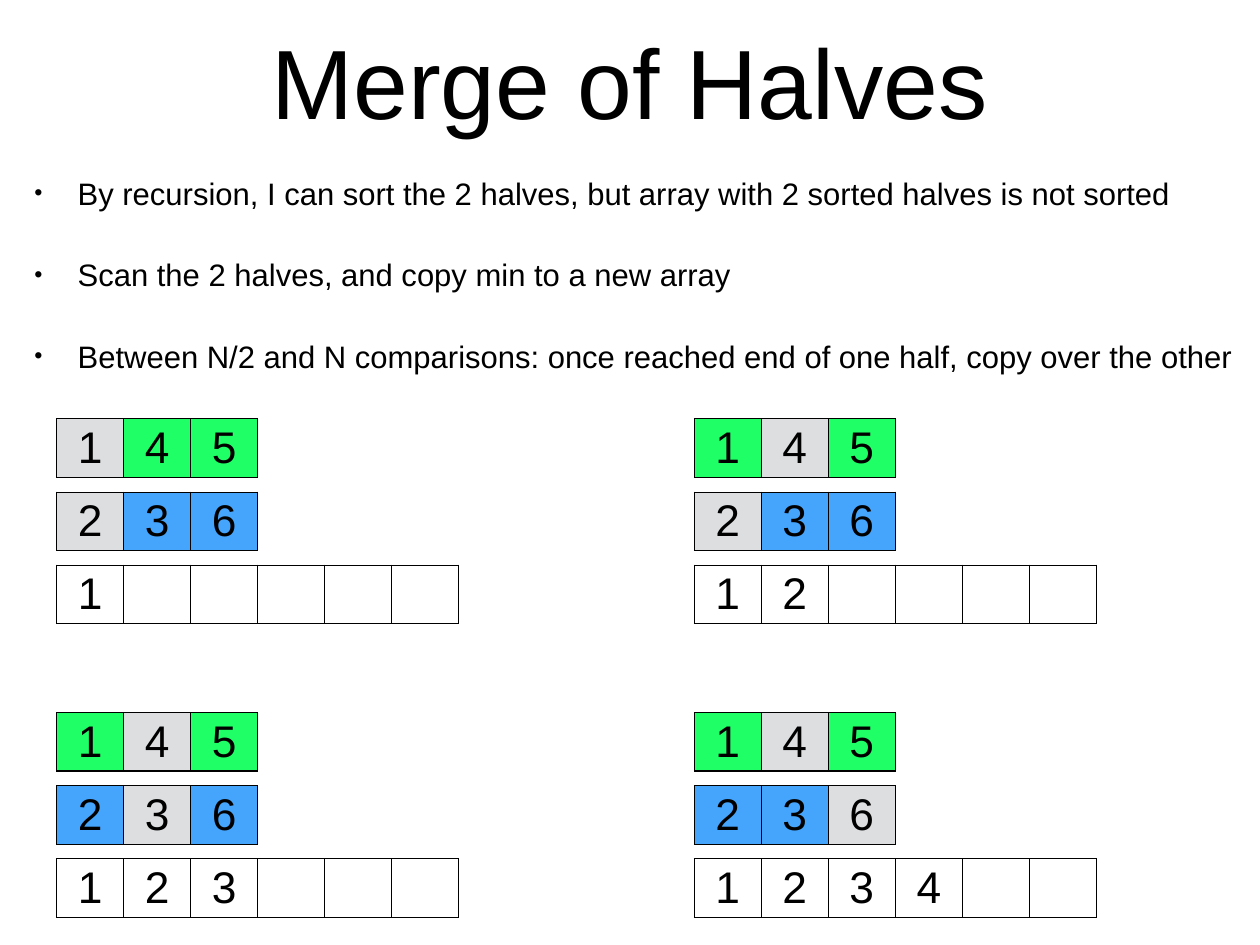
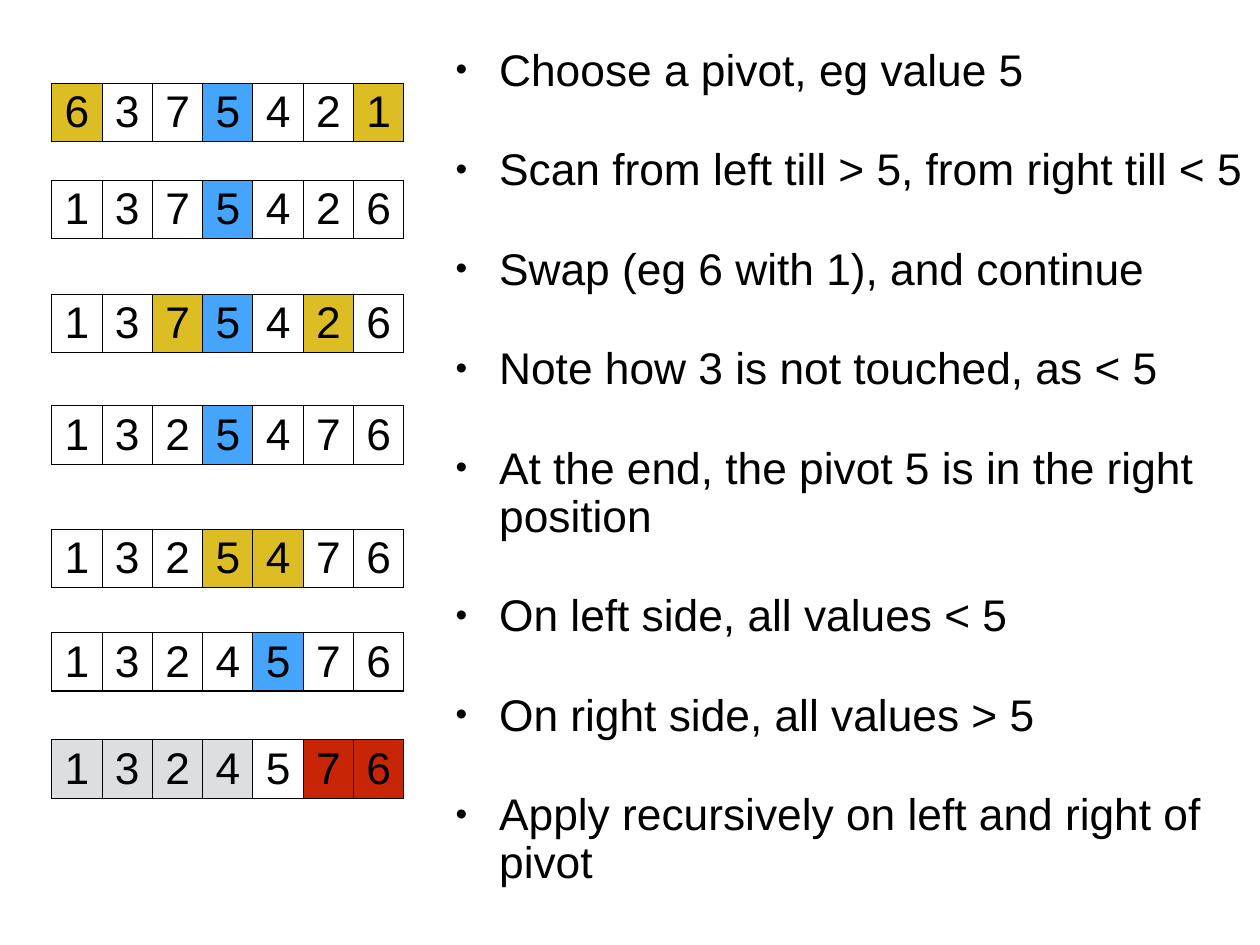
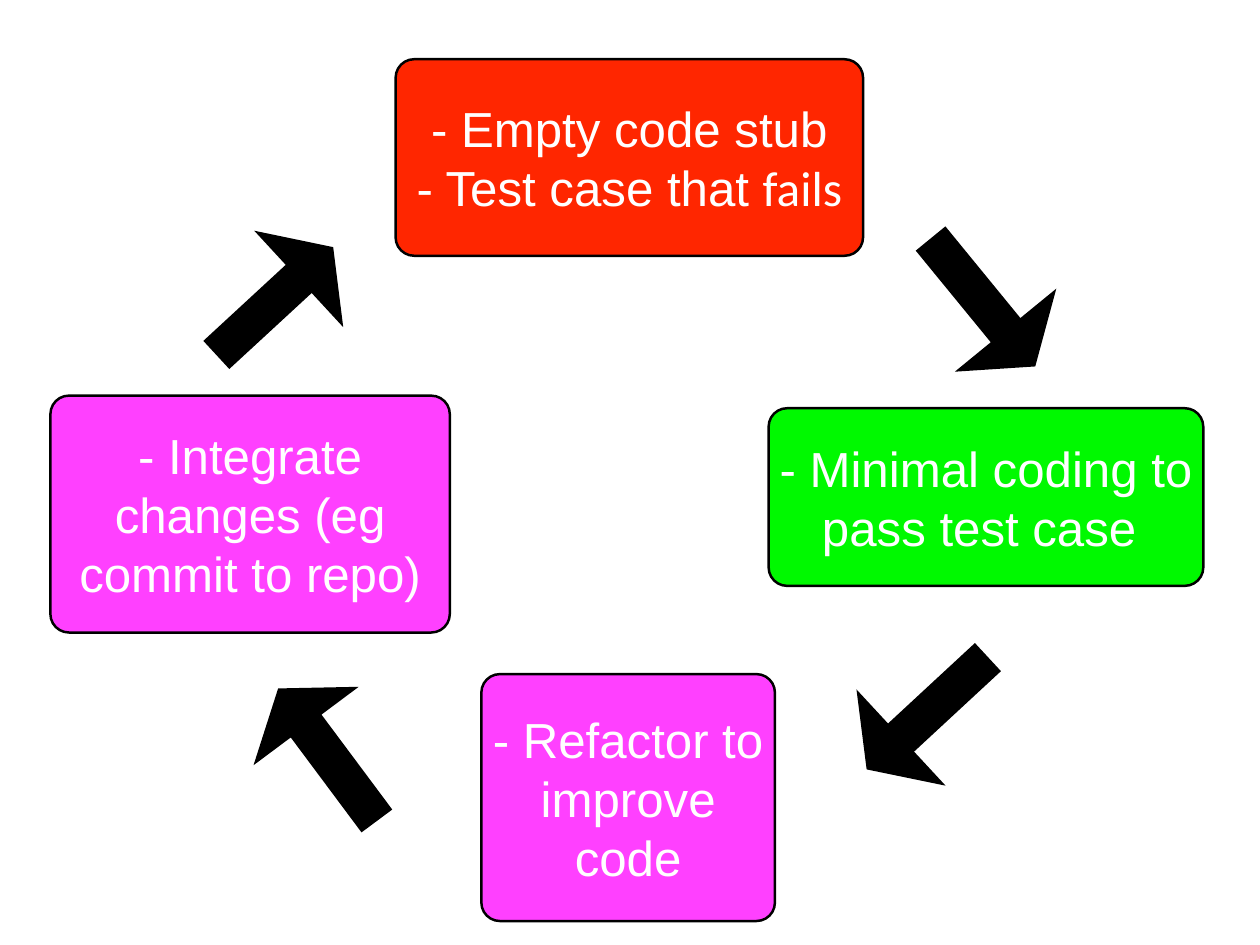
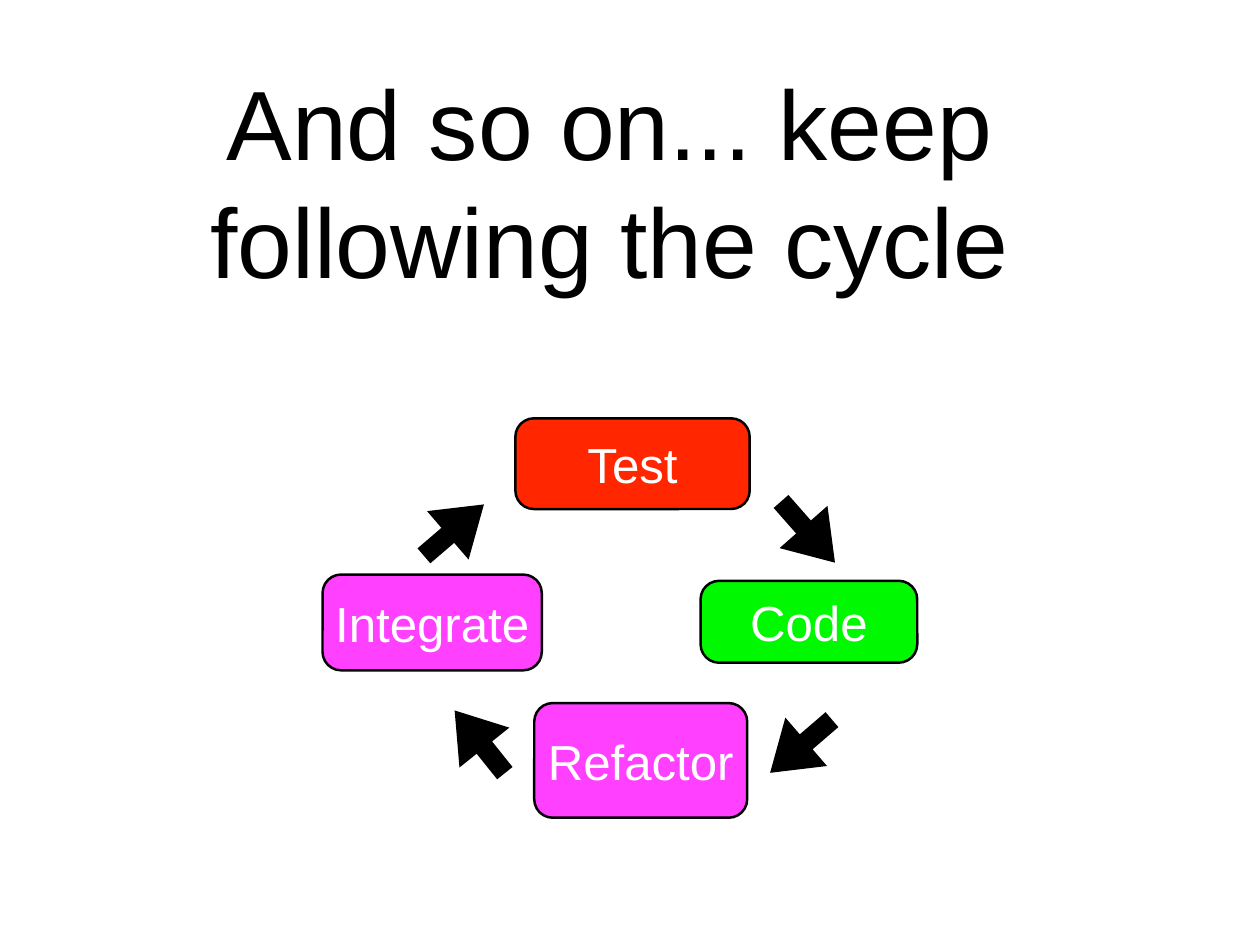
from lxml.etree import SubElement
from pptx import Presentation
from pptx.dml.color import RGBColor
from pptx.enum.shapes import MSO_SHAPE as SHAPE
from pptx.enum.text import MSO_ANCHOR as ANCHOR, PP_ALIGN as ALIGN
from pptx.oxml.ns import qn
from pptx.util import Emu, Inches, Pt

BLACK = RGBColor(0x00, 0x00, 0x00)
WHITE = RGBColor(0xFF, 0xFF, 0xFF)
GREY = RGBColor(0xDC, 0xDE, 0xE0)
LIME = RGBColor(0x1F, 0xFF, 0x66)
BLUE = RGBColor(0x45, 0xA4, 0xFC)
GOLD = RGBColor(0xDC, 0xBD, 0x23)
BRICK = RGBColor(0xC8, 0x25, 0x06)
RED = RGBColor(0xFF, 0x26, 0x00)
GREEN = RGBColor(0x00, 0xF9, 0x00)
PINK = RGBColor(0xFF, 0x40, 0xFF)

COLS, ROWS = 100, 75
CELL = 130048
FONT = "Arial"
INSET = Inches(0.06)
HANG = Inches(0.49)
CORNER = 1.47
HEAD = 3.5
ROW_H = 4.64
MARKS = {".": None, "p": BLUE, "s": GOLD, "l": GREY, "r": BRICK}
STAGE_FILLS = (RED, GREEN, PINK, PINK)


def grid(*lengths):
    return [Emu(round(n * CELL)) for n in lengths]


def write(tf, paras, size=36, color=BLACK, align=ALIGN.CENTER, bullet=False, spacing=None, before=None):
    for i, para in enumerate(paras):
        p = tf.paragraphs[0] if i == 0 else tf.add_paragraph()
        p.alignment = align
        p.line_spacing = spacing
        if before:
            p.space_before = Pt(before)
        if bullet:
            add_bullet(p)
        for text, font in [(para, FONT)] if isinstance(para, str) else para:
            r = p.add_run()
            r.text = text
            r.font.name, r.font.size = font, Pt(size)
            r.font.color.rgb = color


def add_bullet(p):
    pPr = p._p.get_or_add_pPr()
    pPr.set("marL", str(HANG))
    pPr.set("indent", str(-HANG))
    SubElement(pPr, qn("a:buSzPct"), val="75000")
    SubElement(pPr, qn("a:buFont"), typeface=FONT)
    SubElement(pPr, qn("a:buChar"), char="•")


def frame(sp):
    tf = sp.text_frame
    tf.word_wrap = True
    tf.vertical_anchor = ANCHOR.MIDDLE
    tf.margin_left = tf.margin_right = tf.margin_top = tf.margin_bottom = INSET
    return tf


def add_title(s, box, text):
    write(frame(s.shapes.add_textbox(*grid(*box))), [text], size=80)


def add_bullets(s, box, items, size, spacing):
    write(frame(s.shapes.add_textbox(*grid(*box))), items, size=size,
          align=ALIGN.LEFT, bullet=True, spacing=spacing, before=42)


def add_border(cell):
    tcPr = cell._tc.get_or_add_tcPr()
    for side in ("a:lnL", "a:lnR", "a:lnT", "a:lnB"):
        ln = SubElement(tcPr, qn(side), w=str(Pt(1)))
        SubElement(SubElement(ln, qn("a:solidFill")), qn("a:srgbClr"), val=str(BLACK))


def add_array(s, x, y, col_w, values, fills):
    n = len(values)
    table = s.shapes.add_table(1, n, *grid(x, y, col_w * n, ROW_H)).table
    table.first_row = table.horz_banding = False
    for cell, value, color in zip(table.iter_cells(), values, fills):
        cell.margin_left = cell.margin_right = cell.margin_top = cell.margin_bottom = Inches(0.03)
        cell.vertical_anchor = ANCHOR.MIDDLE
        add_border(cell)
        if color is None:
            cell.fill.background()
        else:
            cell.fill.solid()
            cell.fill.fore_color.rgb = color
        if value:
            write(cell.text_frame, [str(value)])


def add_merge_step(s, x, y, halves, heads, merged):
    pitch, col_w = 5.8, 5.32
    for i, (half, head, color) in enumerate(zip(halves, heads, (LIME, BLUE))):
        fills = [GREY if k == head else color for k in range(len(half))]
        add_array(s, x, y + i * pitch, col_w, half, fills)
    total = sum(map(len, halves))
    add_array(s, x, y + 2 * pitch, col_w, merged + [None] * (total - len(merged)), [None] * total)


def add_preset(s, kind, box, color):
    sp = s.shapes.add_shape(kind, *grid(*box))
    sp.shadow.inherit = False
    sp.fill.solid()
    sp.fill.fore_color.rgb = color
    sp.line.color.rgb = BLACK
    sp.line.width = Pt(2)
    SubElement(sp._element.spPr.find(qn("a:ln")), qn("a:miter"), lim="400000")
    return sp


def add_cycle(s, origin, stages, arrows, thick):
    x0, y0 = origin
    for (x, y, w, h, paras), color in zip(stages, STAGE_FILLS):
        sp = add_preset(s, SHAPE.ROUNDED_RECTANGLE, (x0 + x, y0 + y, w, h), color)
        sp.adjustments[0] = CORNER / min(w, h)
        write(frame(sp), paras, size=40, color=WHITE)
    for cx, cy, length, angle in arrows:
        box = x0 + cx - length / 2, y0 + cy - thick / 2, length, thick
        sp = add_preset(s, SHAPE.RIGHT_ARROW, box, BLACK)
        sp.adjustments[0] = 0.29
        sp.adjustments[1] = HEAD / thick
        sp.rotation = angle


def merge_slide(s):
    add_title(s, (7.3, 1.2, 85.4, 10.3), "Merge of Halves")
    add_bullets(s, (2.3, 13.1, 97.7, 17.9), [
        "By recursion, I can sort the 2 halves, but array with 2 sorted halves is not sorted",
        "Scan the 2 halves, and copy min to a new array",
        "Between N/2 and N comparisons: once reached end of one half, copy over the other",
    ], size=25.2, spacing=0.8)
    halves, heads, merged = ([1, 4, 5], [2, 3, 6]), [0, 0], []
    for step in range(4):
        row, col = divmod(step, 2)
        least = min((0, 1), key=lambda i: halves[i][heads[i]])
        merged.append(halves[least][heads[least]])
        add_merge_step(s, 4.5 + col * 50.6, 33.25 + row * 23.3, halves, heads, merged)
        heads[least] += 1


def pivot_slide(s):
    add_bullets(s, (35.75, 2.5, 64.25, 69.3), [
        "Choose a pivot, eg value 5",
        "Scan from left till > 5, from right till < 5",
        "Swap (eg 6 with 1), and continue",
        "Note how 3 is not touched, as < 5",
        "At the end, the pivot 5 is in the right position",
        "On left side, all values < 5",
        "On right side, all values > 5",
        "Apply recursively on left and right of pivot",
    ], size=36, spacing=0.9)
    for y, values, marks in [
        (6.6, "6375421", "s..p..s"),
        (14.3, "1375426", "...p..."),
        (23.35, "1375426", "..sp.s."),
        (32.2, "1325476", "...p..."),
        (42, "1325476", "...ss.."),
        (50.2, "1324576", "....p.."),
        (58.7, "1324576", "llll.rr"),
    ]:
        add_array(s, 4.12, y, 3.99, values, [MARKS[m] for m in marks])


def detailed_cycle_slide(s):
    add_cycle(s, (4, 4.7), [
        (27.4, 0, 37.1, 15.6, ["- Empty code stub", [("- Test case that ", FONT), ("fails", "Calibri")]]),
        (57, 27.7, 34.5, 14.1, ["- Minimal coding to pass test case "]),
        (34.2, 48.8, 23.3, 19.6, ["- Refactor to improve code"]),
        (0, 26.7, 31.7, 18.8, ["- Integrate changes (eg commit to repo)"]),
    ], [
        (74, 19.3, 12.9, 50.7),
        (69.6, 51.9, 12.9, 137.2),
        (22, 55.2, 12.9, 233.3),
        (17.8, 19.2, 12.4, 317.3),
    ], thick=9.8)


def short_cycle_slide(s):
    add_title(s, (8.2, 3.6, 80.4, 21.4), "And so on... keep following the cycle")
    add_cycle(s, (25.6, 33.2), [
        (15.3, 0, 18.6, 7.2, ["Test"]),
        (30, 12.9, 17.2, 6.5, ["Code"]),
        (16.8, 22.6, 16.9, 9.1, ["Refactor"]),
        (0, 12.4, 17.4, 7.6, ["Integrate"]),
    ], [
        (38.5, 9, 6.2, 48.6),
        (38, 26, 6.2, 139.3),
        (12.5, 25.7, 6.1, 231.3),
        (10.4, 8.9, 6, 319.4),
    ], thick=4.7)


def main():
    prs = Presentation()
    prs.slide_width, prs.slide_height = grid(COLS, ROWS)
    for build in (merge_slide, pivot_slide, detailed_cycle_slide, short_cycle_slide):
        build(prs.slides.add_slide(prs.slide_layouts[6]))
    prs.save("out.pptx")


if __name__ == "__main__":
    main()
